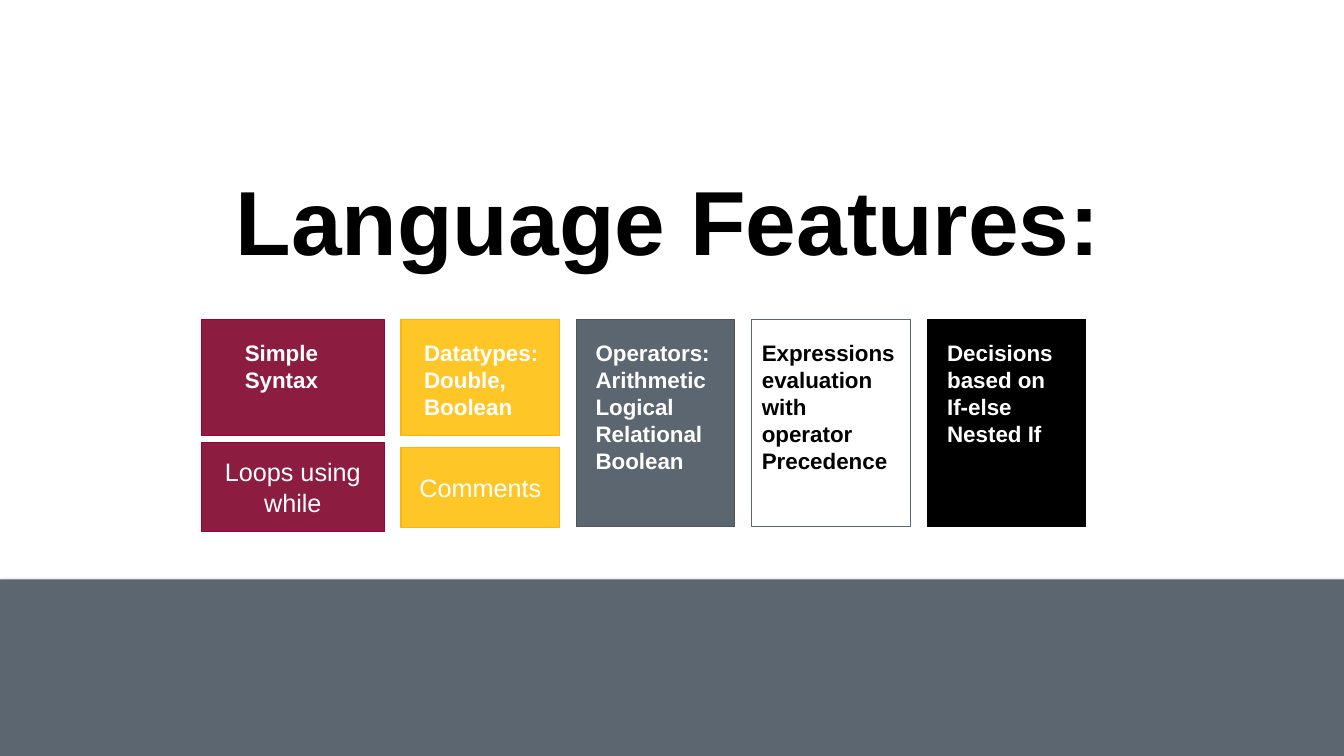
from lxml import etree
from pptx import Presentation
from pptx.dml.color import RGBColor
from pptx.enum.shapes import MSO_SHAPE
from pptx.enum.text import MSO_ANCHOR, MSO_AUTO_SIZE, PP_ALIGN
from pptx.oxml.ns import qn
from pptx.util import Cm, Pt

RECTANGLE = MSO_SHAPE.RECTANGLE
TOP, MIDDLE = MSO_ANCHOR.TOP, MSO_ANCHOR.MIDDLE
LEFT, CENTER = PP_ALIGN.LEFT, PP_ALIGN.CENTER
NO_AUTOFIT = MSO_AUTO_SIZE.NONE

WHITE = RGBColor(0xFF, 0xFF, 0xFF)
BLACK = RGBColor(0x00, 0x00, 0x00)
MAROON = RGBColor(0x8C, 0x1D, 0x40)
MAROON_EDGE = RGBColor(0x99, 0x00, 0x33)
GOLD = RGBColor(0xFF, 0xC6, 0x27)
GOLD_EDGE = RGBColor(0xFF, 0xB3, 0x10)
GRAY = RGBColor(0x5C, 0x66, 0x70)
GRAY_EDGE = RGBColor(0x4F, 0x55, 0x57)

SLIDE_WIDTH, SLIDE_HEIGHT = 33.87, 19.05
BAND_TOP = 14.6
CARD_TOP, SHORT_CARD, TALL_CARD = 8.05, 2.92, 5.23
CARD_WIDTH, CARD_STEP = 3.99, 4.42
FIRST_LEFT, FIRST_WIDTH, SECOND_LEFT = 5.08, 4.6, 10.11
LABEL_TOP, LINE_HEIGHT, LABEL_PADDING = 8.43, 0.68, 0.25


class FeatureSlide:
    """Holds the text style and the slide being built."""

    def __init__(self, presentation, font="Arial"):
        self.font = font
        self.slide = presentation.slides.add_slide(presentation.slide_layouts[5])

    def fill_text(self, frame, lines, size, color, bold, align=LEFT, anchor=TOP):
        """Fill a text frame with one paragraph per line."""
        frame.word_wrap = True
        frame.auto_size = NO_AUTOFIT
        frame.vertical_anchor = anchor
        for index, line in enumerate(lines):
            paragraph = frame.add_paragraph() if index else frame.paragraphs[0]
            paragraph.alignment = align
            run = paragraph.add_run()
            run.text = line
            run.font.name = self.font
            run.font.size = Pt(size)
            run.font.bold = bold
            run.font.color.rgb = color

    def title(self, text, left, top, width, height, size):
        """Place and format the title placeholder."""
        title = self.slide.shapes.title
        title.left, title.top = Cm(left), Cm(top)
        title.width, title.height = Cm(width), Cm(height)
        self.fill_text(title.text_frame, [text], size, BLACK, True)
        title.text_frame.paragraphs[0].line_spacing = Pt(size)

    def box(self, left, top, width, height, fill, edge=None, weight=0.75):
        """Add a flat rectangle and return it."""
        shape = self.slide.shapes.add_shape(
            RECTANGLE, Cm(left), Cm(top), Cm(width), Cm(height))
        shape.shadow.inherit = False
        shape.fill.solid()
        shape.fill.fore_color.rgb = fill
        if edge is None:
            shape.line.fill.background()
        else:
            shape.line.color.rgb = edge
            shape.line.width = Pt(weight)
        return shape

    def caption_box(self, text, *geometry_and_style):
        """Add a rectangle with centred text."""
        shape = self.box(*geometry_and_style)
        self.fill_text(shape.text_frame, [text], 18, WHITE, False, CENTER, MIDDLE)

    def label(self, lines, left, width, line_count, color=WHITE):
        """Add a bold text box at the top of a card."""
        height = LINE_HEIGHT * line_count + LABEL_PADDING
        text_box = self.slide.shapes.add_textbox(
            Cm(left), Cm(LABEL_TOP), Cm(width), Cm(height))
        self.fill_text(text_box.text_frame, lines, 16, color, True)

    def band(self, top, fill):
        """Add the full-width bottom band with its soft shadow."""
        shape = self.box(0, top, SLIDE_WIDTH, SLIDE_HEIGHT - top, fill)
        effects = shape.element.spPr.find(qn("a:effectLst"))
        shadow = etree.SubElement(
            effects, qn("a:outerShdw"), blurRad=str(Pt(3.1)), dist=str(Pt(1.8)),
            dir="5400000", algn="t", rotWithShape="0")
        color = etree.SubElement(shadow, qn("a:srgbClr"), val=str(BLACK))
        etree.SubElement(color, qn("a:alpha"), val="35000")


def main():
    """Build and save the language features slide."""
    presentation = Presentation()
    presentation.slide_width = Cm(SLIDE_WIDTH)
    presentation.slide_height = Cm(SLIDE_HEIGHT)
    features = FeatureSlide(presentation)
    features.title("Language Features:", 5.69, 4.47, 22.4, 2.64, 65)

    features.box(FIRST_LEFT, CARD_TOP, FIRST_WIDTH, SHORT_CARD, MAROON, MAROON_EDGE)
    cards = [
        (SHORT_CARD, GOLD, GOLD_EDGE, 1),
        (TALL_CARD, GRAY, GRAY_EDGE, 0.75),
        (TALL_CARD, WHITE, GRAY, 0.75),
        (TALL_CARD, BLACK, BLACK, 0.75),
    ]
    for column, (height, fill, edge, weight) in enumerate(cards):
        left = SECOND_LEFT + column * CARD_STEP
        features.box(left, CARD_TOP, CARD_WIDTH, height, fill, edge, weight)

    labels = [
        (["Simple Syntax"], 5.92, 3.76, 2, WHITE),
        (["Datatypes:", "Double, Boolean"], 10.44, 3.66, 3, WHITE),
        (["Operators:", "Arithmetic", "Logical", "Relational", "Boolean"],
         14.76, 3.76, 5, WHITE),
        (["Expressions evaluation with operator Precedence"],
         18.95, 3.99, 5, BLACK),
        (["Decisions based on", "If-else", "Nested If"], 23.62, 3.76, 4, WHITE),
    ]
    for label in labels:
        features.label(*label)

    features.band(BAND_TOP, GRAY)
    features.caption_box("Loops using while", FIRST_LEFT, 11.15, FIRST_WIDTH, 2.24,
                         MAROON, MAROON_EDGE)
    features.caption_box("Comments", SECOND_LEFT, 11.28, CARD_WIDTH, 2.01,
                         GOLD, GOLD_EDGE, 1)
    presentation.save("out.pptx")


if __name__ == "__main__":
    main()
